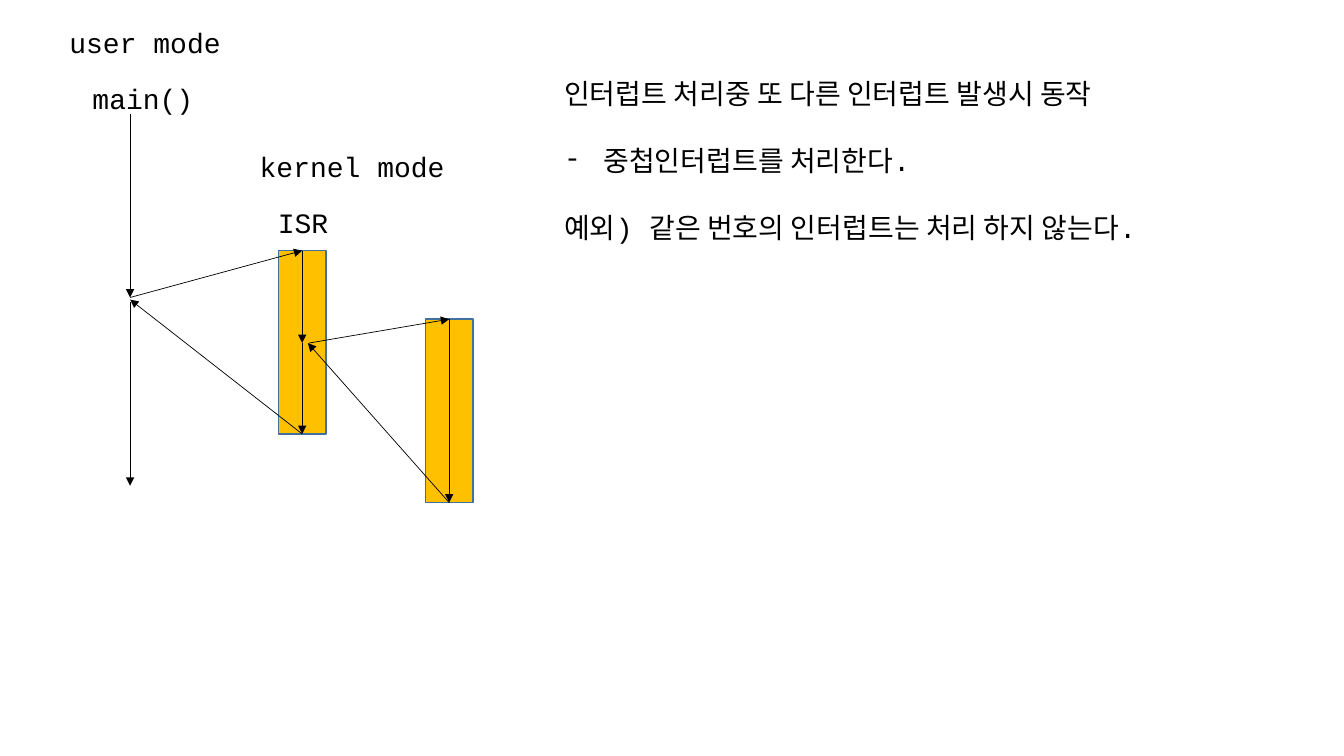
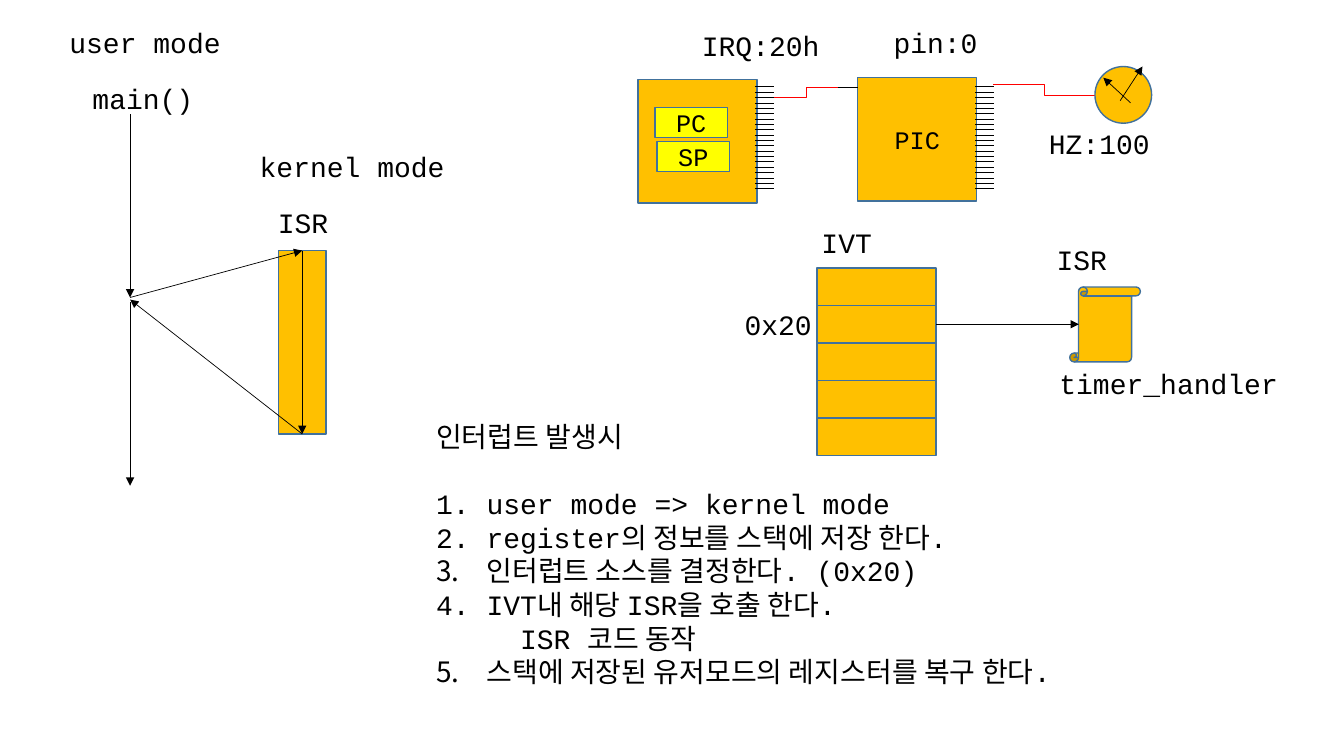
from dataclasses import dataclass

from lxml.etree import SubElement
from pptx import Presentation
from pptx.dml.color import RGBColor
from pptx.enum.shapes import MSO_CONNECTOR as Link, MSO_SHAPE as Form
from pptx.enum.text import MSO_ANCHOR as Anchor, MSO_AUTO_SIZE as Fit, PP_ALIGN as Align
from pptx.oxml.ns import qn
from pptx.util import Pt


@dataclass(frozen=True)
class Theme:
    font: str = "Courier New"
    ink: RGBColor = RGBColor(0, 0, 0)
    amber: RGBColor = RGBColor(0xFF, 0xC0, 0x00)
    yellow: RGBColor = RGBColor(0xFF, 0xFF, 0x00)
    red: RGBColor = RGBColor(0xFF, 0x00, 0x00)
    edge: RGBColor = RGBColor(0x41, 0x71, 0x9C)
    text_size: float = 20
    block_size: float = 18
    edge_width: float = 1
    wire_width: float = 0.5


THEME = Theme()
TOP, BOTTOM, RIGHT = 0, 2, 3
LINE_PITCH = 24
MAIN_X = 93
BAR_SIZE = (34, 131)
CHIP_SIZE = (85, 88)
REGISTER_SIZE = (52, 21.5)
PIN_COUNT, PIN_PITCH, PIN_TOP, PIN_LENGTH = 20, 3.83, 62, 13.5
SLOT_COUNT, SLOT_HEIGHT = 5, 26.75


def points(*values):
    return [Pt(value) for value in values]


def apply(target, formats):
    for name, value in formats.items():
        setattr(target, name, value)


def write(para, text, size=THEME.text_size):
    span = para.add_run()
    span.text = text
    apply(span.font, {"name": THEME.font, "size": Pt(size), "bold": False})
    span.font.color.rgb = THEME.ink


def add_label(page, text, left, top):
    """Add a one-line label as wide as its fixed-pitch letters."""
    width = len(text) * THEME.text_size * 0.6 + 15
    box = page.shapes.add_textbox(*points(left, top, width, 31.5))
    apply(box.text_frame, {"word_wrap": False, "auto_size": Fit.SHAPE_TO_FIT_TEXT})
    write(box.text_frame.paragraphs[0], text)


def add_block(page, left, top, size, text="", form=Form.RECTANGLE, fill=THEME.amber):
    block = page.shapes.add_shape(form, *points(left, top, *size))
    block.shadow.inherit = False
    block.fill.solid()
    block.fill.fore_color.rgb = fill
    block.line.color.rgb = THEME.edge
    block.line.width = Pt(THEME.edge_width)
    if text:
        block.text_frame.vertical_anchor = Anchor.MIDDLE
        para = block.text_frame.paragraphs[0]
        para.alignment = Align.CENTER
        write(para, text, THEME.block_size)
    return block


def add_wire(page, start, end, color=THEME.ink, kind=Link.STRAIGHT, arrow=False):
    """Draw a line; each end is an (x, y) point or a (block, side) pair."""
    joined = [not isinstance(place[0], (int, float)) for place in (start, end)]
    spots = [(0, 0) if join else place for join, place in zip(joined, (start, end))]
    wire = page.shapes.add_connector(kind, *points(*spots[0], *spots[1]))
    if joined[0]:
        wire.begin_connect(*start)
    if joined[1]:
        wire.end_connect(*end)
    wire.line.color.rgb = color
    wire.line.width = Pt(THEME.wire_width)
    properties = wire._element.spPr
    if arrow:
        SubElement(properties.find(qn("a:ln")), qn("a:tailEnd"), type="triangle")
    SubElement(properties, qn("a:effectLst"))


def add_arrow(page, start, end):
    add_wire(page, start, end, arrow=True)


def set_bullet(para, indent=0, hanging=True, tag="a:buNone", **details):
    properties = para._p.get_or_add_pPr()
    properties.set("marL", str(Pt(indent)))
    properties.set("indent", str(Pt(-indent if hanging else 0)))
    if details:
        SubElement(properties, qn("a:buFont"), typeface=THEME.font)
    SubElement(properties, qn(tag), **details)


def numbered(start):
    return {"indent": 36, "tag": "a:buAutoNum", "type": "arabicPeriod", "startAt": str(start)}


def fill_placeholder(holder, frame, items, gap=0):
    """Fill a placeholder with (text, bullet format) items, gap points apart."""
    apply(holder, dict(zip(("left", "top", "width", "height"), points(*frame))))
    text_frame = holder.text_frame
    apply(text_frame, {"word_wrap": True, "auto_size": Fit.NONE, "vertical_anchor": Anchor.TOP})
    for index, (text, bullet) in enumerate(items):
        para = text_frame.add_paragraph() if index else text_frame.paragraphs[0]
        apply(para, {"alignment": Align.LEFT, "space_before": Pt(gap if index else 0)})
        set_bullet(para, **bullet)
        write(para, text)


def add_notes_text(page, left, top, width, heading, items, gap=0):
    """Put a heading in the title and its list one empty line below in the body."""
    title, body = page.placeholders
    fill_placeholder(title, (left, top, width, 32), [(heading, {})])
    height = len(items) * (LINE_PITCH + gap) + 8
    fill_placeholder(body, (left, top + 2 * LINE_PITCH, width, height), items, gap)


def add_mode_switch(page):
    """Draw main() being interrupted by the ISR; return the ISR bar."""
    bar = add_block(page, 199, 179, BAR_SIZE)
    for text, left, top in (
        ("user mode", 42.5, 15),
        ("main()", 59, 54.5),
        ("kernel mode", 178.5, 103.5),
        ("ISR", 191.5, 143),
    ):
        add_label(page, text, left, top)
    add_arrow(page, (MAIN_X, 81.5), (MAIN_X, 212.5))
    add_arrow(page, (MAIN_X, 216), (MAIN_X, 347))
    add_arrow(page, (MAIN_X, 212.5), (bar, TOP))
    add_arrow(page, (bar, BOTTOM), (MAIN_X, 214))
    return bar


def add_pins(page, left):
    for index in range(PIN_COUNT):
        y = PIN_TOP + index * PIN_PITCH
        add_wire(page, (left, y), (left + PIN_LENGTH, y))


def add_interrupt_wiring(page):
    """Draw the timer, the interrupt controller and the processor."""
    add_block(page, 456, 57, CHIP_SIZE)
    add_block(page, 613, 55.5, CHIP_SIZE, "PIC")
    add_block(page, 468, 77, REGISTER_SIZE, "PC", fill=THEME.yellow)
    add_block(page, 469.5, 101, REGISTER_SIZE, "SP", fill=THEME.yellow)
    for left in (539.5, 697):
        add_pins(page, left)
    add_wire(page, (599, 62.5), (613, 62.5))
    add_wire(page, (599, 62.5), (553, 69.5), THEME.red, Link.ELBOW)
    add_wire(page, (782.5, 68.5), (709.5, 60.5), THEME.red, Link.ELBOW)
    add_block(page, 782.5, 47.5, (40.5, 40.5), form=Form.OVAL)
    add_arrow(page, (808, 73.5), (788.5, 55.5))
    add_arrow(page, (800.5, 72), (816.5, 47.5))
    add_label(page, "pin:0", 631.5, 15)
    add_label(page, "IRQ:20h", 494.5, 16.5)
    add_label(page, "HZ:100", 742.5, 87)


def add_vector_table(page):
    top = 191.5
    slots = [
        add_block(page, 584, top + index * SLOT_HEIGHT, (85, SLOT_HEIGHT))
        for index in range(SLOT_COUNT)
    ]
    add_block(page, 764.5, 205, (50.5, 53.5), form=Form.VERTICAL_SCROLL)
    add_arrow(page, (slots[1], RIGHT), (771, top + 1.5 * SLOT_HEIGHT))
    add_label(page, "IVT", 580, 157.5)
    add_label(page, "0x20", 525, 216)
    add_label(page, "ISR", 748, 170)
    add_label(page, "timer_handler", 750, 258)


def build_nested_page(page):
    add_notes_text(page, 396, 51, 488, "인터럽트 처리중 또 다른 인터럽트 발생시 동작", [
        ("중첩인터럽트를 처리한다.", {"indent": 28, "tag": "a:buChar", "char": "-"}),
        ("예외) 같은 번호의 인터럽트는 처리 하지 않는다.", {}),
    ], gap=LINE_PITCH)
    bar = add_mode_switch(page)
    nested = add_block(page, 304, 228, BAR_SIZE)
    add_arrow(page, (bar, TOP), (216, 245))
    add_arrow(page, (216, 245), (bar, BOTTOM))
    add_arrow(page, (221, 245), (nested, TOP))
    add_arrow(page, (nested, TOP), (nested, BOTTOM))
    add_arrow(page, (nested, BOTTOM), (220, 245))


def build_timer_page(page):
    add_notes_text(page, 304.5, 296, 503, "인터럽트 발생시", [
        ("user mode => kernel mode", numbered(1)),
        ("register의 정보를 스택에 저장 한다.", numbered(2)),
        ("인터럽트 소스를 결정한다. (0x20)", numbered(3)),
        ("IVT내 해당 ISR을 호출 한다.", numbered(4)),
        ("ISR 코드 동작", {"indent": 60, "hanging": False}),
        ("스택에 저장된 유저모드의 레지스터를 복구 한다.", numbered(5)),
    ])
    bar = add_mode_switch(page)
    add_arrow(page, (bar, TOP), (bar, BOTTOM))
    add_interrupt_wiring(page)
    add_vector_table(page)


def main():
    deck = Presentation()
    apply(deck, {"slide_width": Pt(960.5), "slide_height": Pt(540)})
    title_and_body = deck.slide_layouts[1]
    for build in (build_nested_page, build_timer_page):
        build(deck.slides.add_slide(title_and_body))
    deck.save("out.pptx")


if __name__ == "__main__":
    main()
